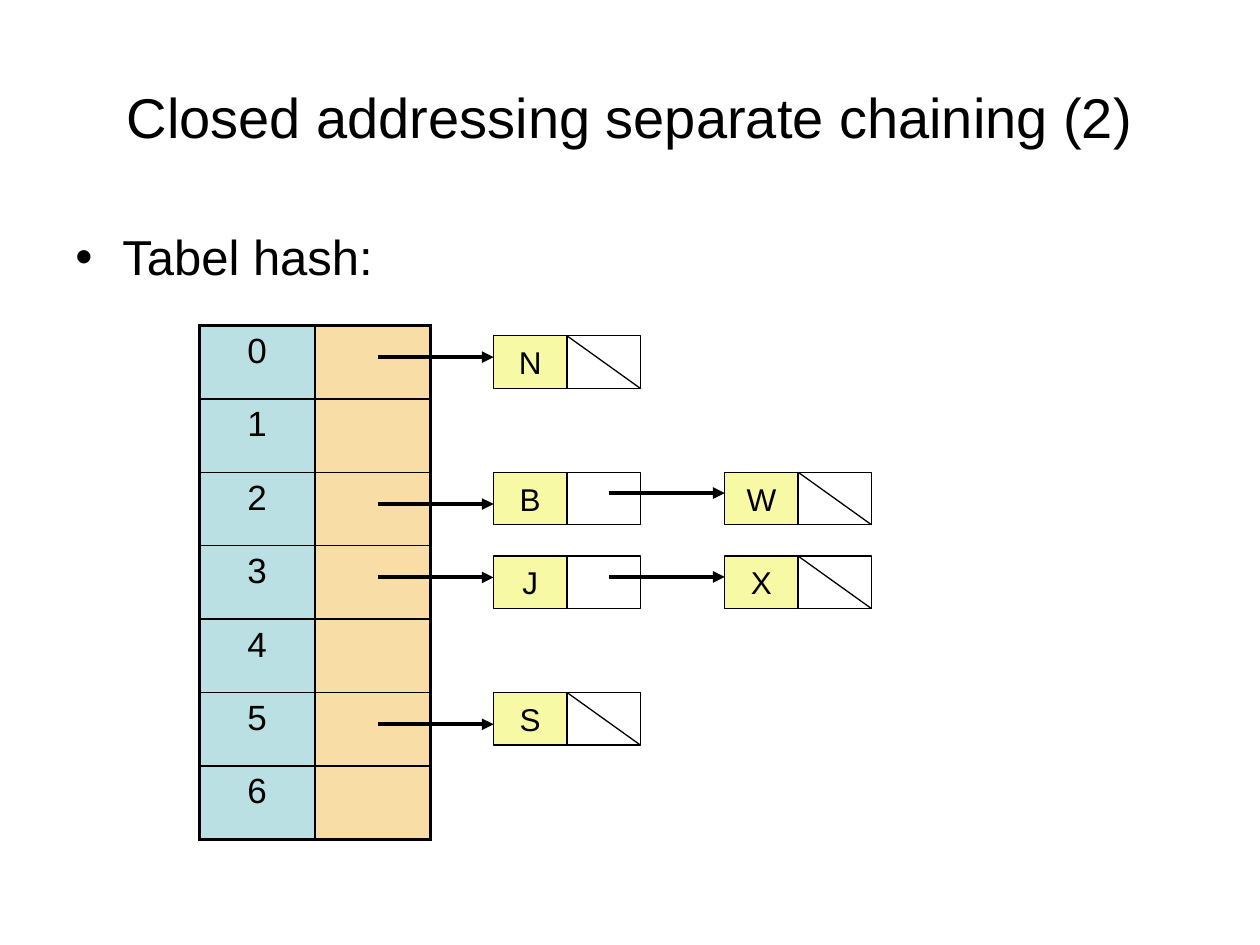
from pptx import Presentation
from pptx.dml.color import RGBColor
from pptx.enum.shapes import MSO_CONNECTOR as Link, MSO_SHAPE as Shape
from pptx.enum.text import MSO_ANCHOR as Anchor, PP_ALIGN as Align
from pptx.oxml.ns import qn
from pptx.util import Cm, Pt
from lxml.etree import SubElement

# Content: each bucket holds its chain of keys and the chain's drop below the row top
TITLE = "Closed addressing separate chaining (2)"
BULLET = "Tabel hash:"
BUCKETS = [("N", 0.21), ("", 0), ("BW", 0), ("JX", 0.21), ("", 0), ("S", 0), ("", 0)]

THEME = {
    "font": "Arial", "ink": "000000",
    "index": "BBE0E3", "pointer": "F8DDA6", "key": "F7F9A5",
    "title": 32, "body": 28, "cell": 20, "node": 18,
    "thin": 0.75, "grid": 1, "thick": 2.25,
}

# Geometry in centimetres
TABLE_X, TABLE_Y, COL_W, ROW_H = 4.02, 6.56, 2.33, 1.48
NODE_X, NODE_W, NODE_H, NODE_STEP = 9.95, 1.48, 1.06, 4.66
ARROW_LENGTH, BUCKET_ARROW_Y, NODE_ARROW_Y = 2.33, 0.64, 0.42


def colour(name):
    return RGBColor.from_string(THEME[name])


def write(frame, text, size, align=Align.CENTER):
    para = frame.paragraphs[0]
    para.alignment = align
    span = para.add_run()
    span.text = text
    span.font.name = THEME["font"]
    span.font.size = Pt(THEME[size])
    span.font.color.rgb = colour("ink")
    return para


def add_line(page, x1, y1, x2, y2, weight, arrow=False):
    line = page.shapes.add_connector(Link.STRAIGHT, Cm(x1), Cm(y1), Cm(x2), Cm(y2))
    line.line.color.rgb = colour("ink")
    line.line.width = Pt(THEME[weight])
    if arrow:
        SubElement(line.line._get_or_add_ln(), qn("a:tailEnd"), type="triangle")
    SubElement(line._element.spPr, qn("a:effectLst"))


def add_box(page, x, y, key=""):
    box = page.shapes.add_shape(Shape.RECTANGLE, Cm(x), Cm(y), Cm(NODE_W), Cm(NODE_H))
    box.shadow.inherit = False
    box.line.color.rgb = colour("ink")
    box.line.width = Pt(THEME["thin"])
    if key:
        box.fill.solid()
        box.fill.fore_color.rgb = colour("key")
        box.text_frame.vertical_anchor = Anchor.MIDDLE
        write(box.text_frame, key, "node")
    else:
        box.fill.background()


def style_cell(cell, fill, outer_sides):
    properties = cell._tc.get_or_add_tcPr()
    for side in "LRTB":
        weight = THEME["thick" if side in outer_sides else "grid"]
        border = SubElement(properties, qn("a:ln" + side), w=str(int(Pt(weight))))
        SubElement(SubElement(border, qn("a:solidFill")), qn("a:srgbClr"), val=THEME["ink"])
    cell.fill.solid()
    cell.fill.fore_color.rgb = colour(fill)


def add_heading(page):
    title = page.shapes.title
    title.left, title.top, title.width, title.height = Cm(1.27), Cm(0.76), Cm(22.86), Cm(3.18)
    title.text_frame.vertical_anchor = Anchor.MIDDLE
    write(title.text_frame, TITLE, "title")

    body = page.shapes.add_textbox(Cm(1.27), Cm(4.45), Cm(11.23), Cm(12.57))
    body.text_frame.word_wrap = True
    para = write(body.text_frame, BULLET, "body", Align.LEFT)
    properties = para._p.get_or_add_pPr()
    properties.set("marL", str(Cm(0.95)))
    properties.set("indent", str(-Cm(0.95)))
    SubElement(properties, qn("a:buFont"), typeface=THEME["font"])
    SubElement(properties, qn("a:buChar"), char="•")


def add_hash_table(page):
    count = len(BUCKETS)
    frame = page.shapes.add_table(count, 2, Cm(TABLE_X), Cm(TABLE_Y),
                                  Cm(2 * COL_W), Cm(count * ROW_H))
    table = frame.table
    table.first_row = table.horz_banding = False
    for column in table.columns:
        column.width = Cm(COL_W)
    for index, row in enumerate(table.rows):
        row.height = Cm(ROW_H)
        edge = "T" if index == 0 else "B" if index == count - 1 else ""
        slot, pointer = row.cells
        style_cell(slot, "index", "L" + edge)
        style_cell(pointer, "pointer", "R" + edge)
        write(slot.text_frame, str(index), "cell")


def add_chain(page, row_y, keys, drop):
    y = row_y + drop
    for place, key in enumerate(keys):
        x = NODE_X + place * NODE_STEP
        next_x = x + NODE_W
        # Key box and link box, struck through at the end of the chain
        add_box(page, x, y, key)
        add_box(page, next_x, y)
        if place == len(keys) - 1:
            add_line(page, next_x, y, next_x + NODE_W, y + NODE_H, "thin")
        # Arrow from the bucket or from the node before
        arrow_y = y + NODE_ARROW_Y if place else row_y + BUCKET_ARROW_Y
        add_line(page, x - ARROW_LENGTH, arrow_y, x, arrow_y, "thick", arrow=True)


def main():
    deck = Presentation()
    deck.slide_width, deck.slide_height = Cm(25.4), Cm(19.05)
    page = deck.slides.add_slide(deck.slide_layouts[5])
    add_heading(page)
    add_hash_table(page)
    for index, (keys, drop) in enumerate(BUCKETS):
        add_chain(page, TABLE_Y + index * ROW_H, keys, drop)
    deck.save("out.pptx")


if __name__ == "__main__":
    main()
